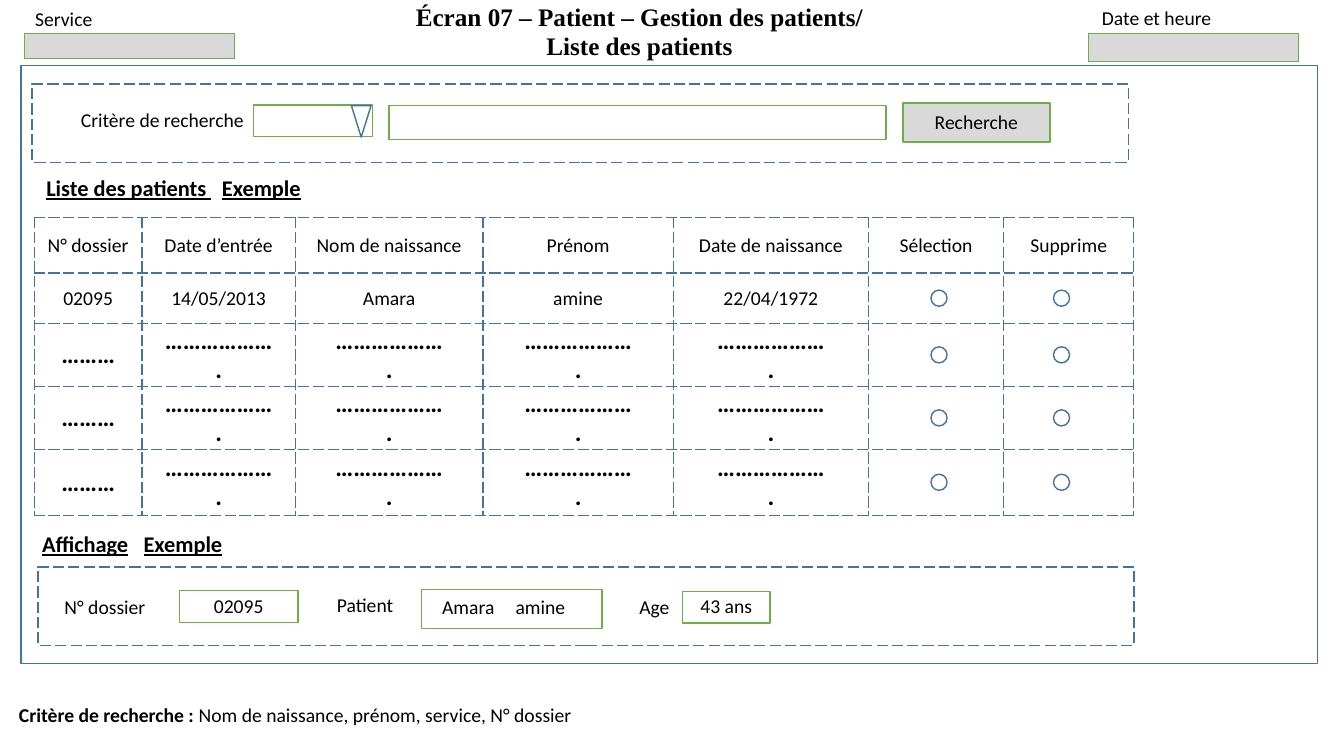
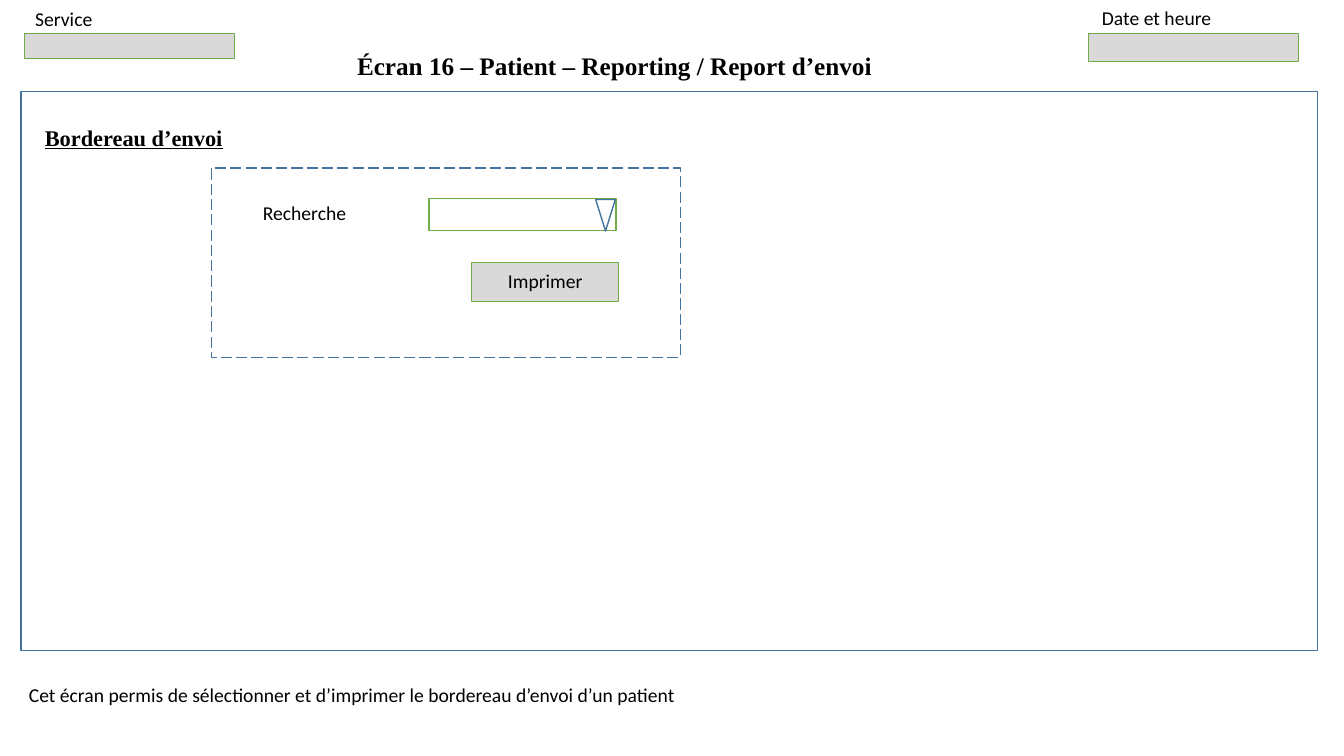
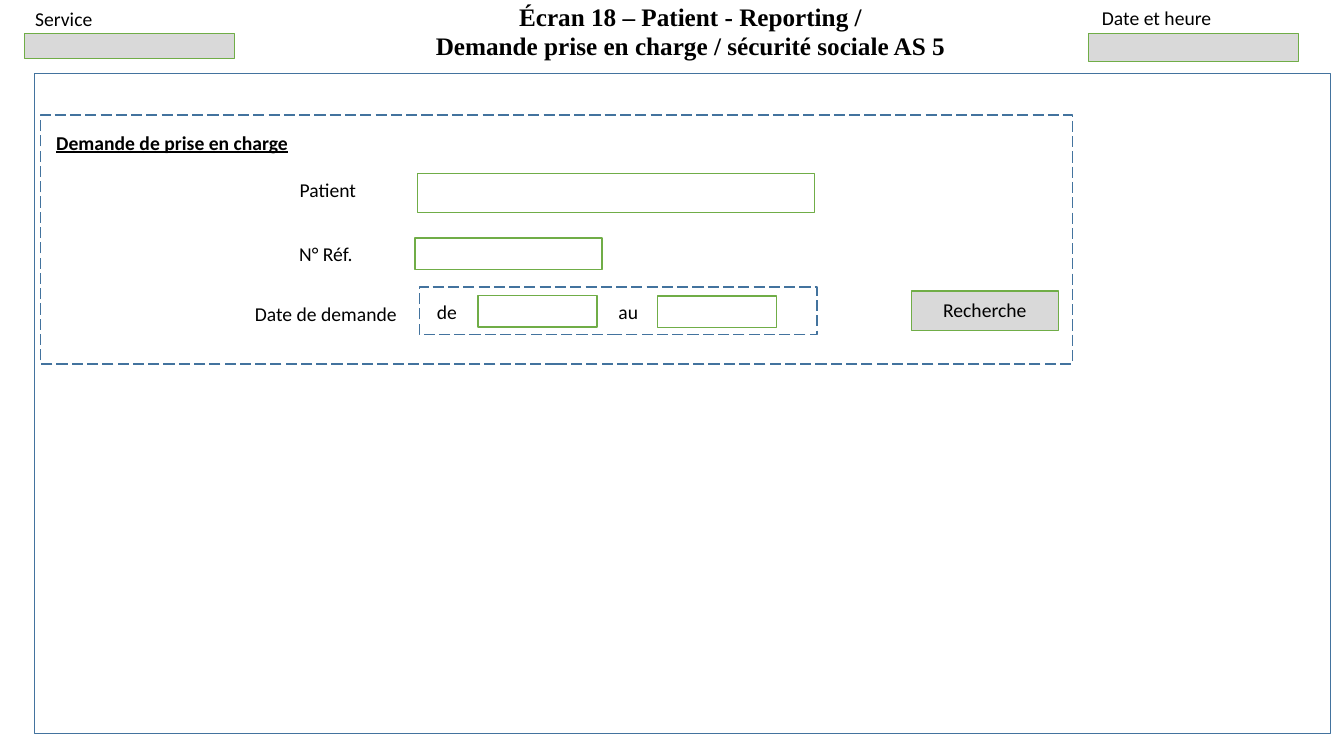
"""Build three wireframe screens for a patient records tool."""
from lxml.etree import SubElement
from pptx import Presentation
from pptx.dml.color import RGBColor
from pptx.enum.dml import MSO_LINE
from pptx.enum.shapes import MSO_SHAPE
from pptx.enum.text import MSO_ANCHOR, MSO_AUTO_SIZE, PP_ALIGN
from pptx.oxml.ns import qn
from pptx.util import Pt

BLACK = RGBColor(0x00, 0x00, 0x00)
BLUE = RGBColor(0x43, 0x73, 0x9E)
GREEN = RGBColor(0x70, 0xAD, 0x47)
GREY = RGBColor(0xD9, 0xD9, 0xD9)

BODY = {"name": "Calibri", "size": Pt(14), "bold": False, "underline": False}
TITLE = {"name": "Times New Roman", "size": Pt(18), "bold": True}
HEAD = {"size": Pt(16), "bold": True, "underline": True}
DOTS = {"size": Pt(18), "bold": True}
LEFT, MID = PP_ALIGN.LEFT, PP_ALIGN.CENTER


def write(frame, runs, align=MID, tab=None):
    """Fill a text frame with one paragraph of formatted runs."""
    frame.word_wrap = True
    frame.vertical_anchor = MSO_ANCHOR.MIDDLE
    para = frame.paragraphs[0]
    if tab:
        stops = SubElement(para._p.get_or_add_pPr(), qn("a:tabLst"))
        SubElement(stops, qn("a:tab"), pos=str(Pt(tab)), algn="l")
    para.alignment, para.line_spacing = align, 0.95
    for text, style in runs:
        if text == "\n":
            para.add_line_break()
            continue
        run = para.add_run()
        run.text = text
        run.font.color.rgb = BLACK
        for key, value in (BODY | style).items():
            setattr(run.font, key, value)


def draw(slide, place, line, fill=None, kind=MSO_SHAPE.RECTANGLE, text=""):
    """Add an outlined shape, with a label if one is given."""
    shape = slide.shapes.add_shape(kind, *map(Pt, place))
    shape.shadow.inherit = False
    shape.line.color.rgb, shape.line.width = line, Pt(1)
    if fill:
        shape.fill.solid()
        shape.fill.fore_color.rgb = fill
    else:
        shape.fill.background()
    if text:
        write(shape.text_frame, [(text, {})])
    return shape


SCREENS = [
    {
        "title": [("Écran 07 – Patient – Gestion des patients/", TITLE), ("\n", {}),
                  ("Liste des patients", TITLE)],
        "place": (275, 5, 363.5, 42.5),
        "frame": (15, 47, 926, 427),
        "zones": [(23, 60, 783, 56), (27, 405, 783, 56)],
        "fields": [((278, 75.5, 355, 24), ""), ((181, 75, 85, 22.5), ""),
                   ((128, 422, 85, 22.5), "02095"), ((301, 421, 129, 28), ""),
                   ((487.5, 422.5, 62.5, 22.5), "43 ans")],
        "drops": [(251, 75.5, 14, 22.5)],
        "button": ((645, 73.5, 105, 28), "Recherche"),
        "labels": [((49.5, 72.5, 133, 27.5), "Critère de recherche"),
                   ((34.5, 418.5, 81, 31), "N° dossier"),
                   ((223, 417.5, 75.5, 31), "Patient"),
                   ((445.5, 419, 44, 30), "Age"),
                   ((291, 422.5, 87, 23), "Amara"),
                   ((342.5, 422.5, 87, 23), "amine")],
        "heads": [((26, 119.5, 197, 31),
                   [("Liste des patients ", HEAD), ("\t", {}), ("Exemple", HEAD)], LEFT, 125.5),
                  ((23, 373.5, 144, 31),
                   [("Affichage", HEAD), ("\t", {}), ("Exemple", HEAD)], LEFT, 72.5),
                  ((6.5, 494.5, 772.5, 33),
                   [("Critère de recherche : ", {"bold": True}),
                    ("Nom de naissance, prénom, service, N° dossier", {})], LEFT, None)],
    },
    {
        "title": [("Écran 16 – Patient – Reporting / Report d’envoi", TITLE)],
        "place": (222, 22.5, 434, 39),
        "frame": (15, 65.5, 926, 399),
        "zones": [(151, 120, 335, 135.5)],
        "fields": [((306.5, 142, 133.5, 22.5), "")],
        "drops": [(425.5, 142.5, 14, 22.5)],
        "button": ((337, 187.5, 105, 28), "Imprimer"),
        "labels": [((175, 139, 85, 27.5), "Recherche")],
        "heads": [((16, 79, 159, 40),
                   [("Bordereau d’envoi", HEAD | {"name": "Times New Roman"})], MID, None),
                  ((13.5, 479.5, 715.5, 34.5),
                   [("Cet écran permis de sélectionner et d’imprimer le bordereau d’envoi d’un patient",
                     {})], LEFT, None)],
    },
    {
        "title": [("Écran 18 – Patient - Reporting /", TITLE), ("\n", {}),
                  ("Demande prise en charge / sécurité sociale AS 5", TITLE)],
        "place": (292.5, 5, 401.5, 42.5),
        "frame": (24.5, 52.5, 926, 471.5),
        "zones": [(29, 82, 737, 178), (299.5, 205, 284, 34)],
        "fields": [((298, 124, 284, 28), ""), ((296.5, 170, 133.5, 22.5), ""),
                   ((341.5, 211, 85, 22.5), ""), ((469.5, 211.5, 85, 22.5), "")],
        "drops": [],
        "button": ((651, 208, 105, 28), "Recherche"),
        "labels": [((170.5, 122.5, 127.5, 28), "Patient"),
                   ((169, 168.5, 127.5, 27.5), "N° Réf."),
                   ((169, 211, 127.5, 27.5), "Date de demande"),
                   ((298, 210, 42.5, 27.5), "de"),
                   ((427.5, 210, 42.5, 27.5), "au")],
        "heads": [((29.5, 83.5, 187, 38),
                   [("Demande de prise en charge", HEAD | {"size": Pt(14)})], MID, None)],
    },
]

deck = Presentation()
deck.slide_width, deck.slide_height = Pt(960), Pt(540)

for screen in SCREENS:
    slide = deck.slides.add_slide(deck.slide_layouts[5])
    title = slide.shapes.title
    for key, value in zip(("left", "top", "width", "height"), screen["place"]):
        setattr(title, key, Pt(value))
    write(title.text_frame, screen["title"])
    title.text_frame.auto_size = MSO_AUTO_SIZE.NONE
    title.text_frame.vertical_anchor = MSO_ANCHOR.BOTTOM

    draw(slide, screen["frame"], BLUE)
    draw(slide, (17.5, 24, 150, 18), GREEN, GREY)
    draw(slide, (777.5, 24, 150, 20), GREEN, GREY)
    for zone in screen["zones"]:
        draw(slide, zone, BLUE).line.dash_style = MSO_LINE.LONG_DASH
    for place, text in screen["fields"]:
        draw(slide, place, GREEN, text=text)
    for place in screen["drops"]:
        draw(slide, place, BLUE, kind=MSO_SHAPE.ISOSCELES_TRIANGLE).rotation = 180
    place, text = screen["button"]
    draw(slide, place, GREEN, GREY, text=text)

    notes = [((18, 2, 101, 24.5), [("Service", {})], LEFT, None),
             ((780, 1.5, 110, 24.5), [("Date et heure", {})], LEFT, None)]
    notes += [(place, [(text, {})], MID, None) for place, text in screen["labels"]]
    for place, runs, align, tab in notes + screen["heads"]:
        note = slide.shapes.add_textbox(*map(Pt, place))
        write(note.text_frame, runs, align, tab)

LONG = "………………."
BLANK = ["………", LONG, LONG, LONG, LONG, "", ""]
ROWS = [
    ["N° dossier", "Date d’entrée", "Nom de naissance", "Prénom", "Date de naissance",
     "Sélection", "Supprime"],
    ["02095", "14/05/2013", "Amara", "amine", "22/04/1972", "", ""],
    BLANK, BLANK, BLANK,
]
WIDTHS = [77, 109.5, 134, 136, 139.5, 96.5, 93]
HEIGHTS = [39.5, 36, 45, 45, 47]
X, Y = 24.5, 155.5
DOT = 11.5

first = deck.slides[0]
grid = first.shapes.add_table(len(ROWS), len(WIDTHS), Pt(X), Pt(Y),
                              Pt(sum(WIDTHS)), Pt(sum(HEIGHTS))).table
grid.first_row = grid.horz_banding = False
for col, width in zip(grid.columns, WIDTHS):
    col.width = Pt(width)
for i, (row, high) in enumerate(zip(ROWS, HEIGHTS)):
    grid.rows[i].height = Pt(high)
    for j, text in enumerate(row):
        cell = grid.cell(i, j)
        side = (WIDTHS[j] - 80) / 2 if text == LONG else 3
        edges = {"margin_left": Pt(side), "margin_right": Pt(side), "margin_top": 0,
                 "margin_bottom": 0, "vertical_anchor": MSO_ANCHOR.MIDDLE}
        for key, value in edges.items():
            setattr(cell, key, value)
        for edge in ("lnL", "lnR", "lnT", "lnB"):
            line = SubElement(cell._tc.get_or_add_tcPr(), qn(f"a:{edge}"), w=str(Pt(1)))
            fill = SubElement(line, qn("a:solidFill"))
            SubElement(fill, qn("a:srgbClr"), val=str(BLUE))
            SubElement(line, qn("a:prstDash"), val="lgDash")
        cell.fill.background()
        if text:
            write(cell.text_frame, [(text, DOTS if row is BLANK else {})])
    if i:
        top = Y + sum(HEIGHTS[:i]) + (high - DOT) / 2
        for left in (665, 752.5):
            draw(first, (left, top, DOT, DOT), BLUE, kind=MSO_SHAPE.OVAL)

deck.save("out.pptx")
